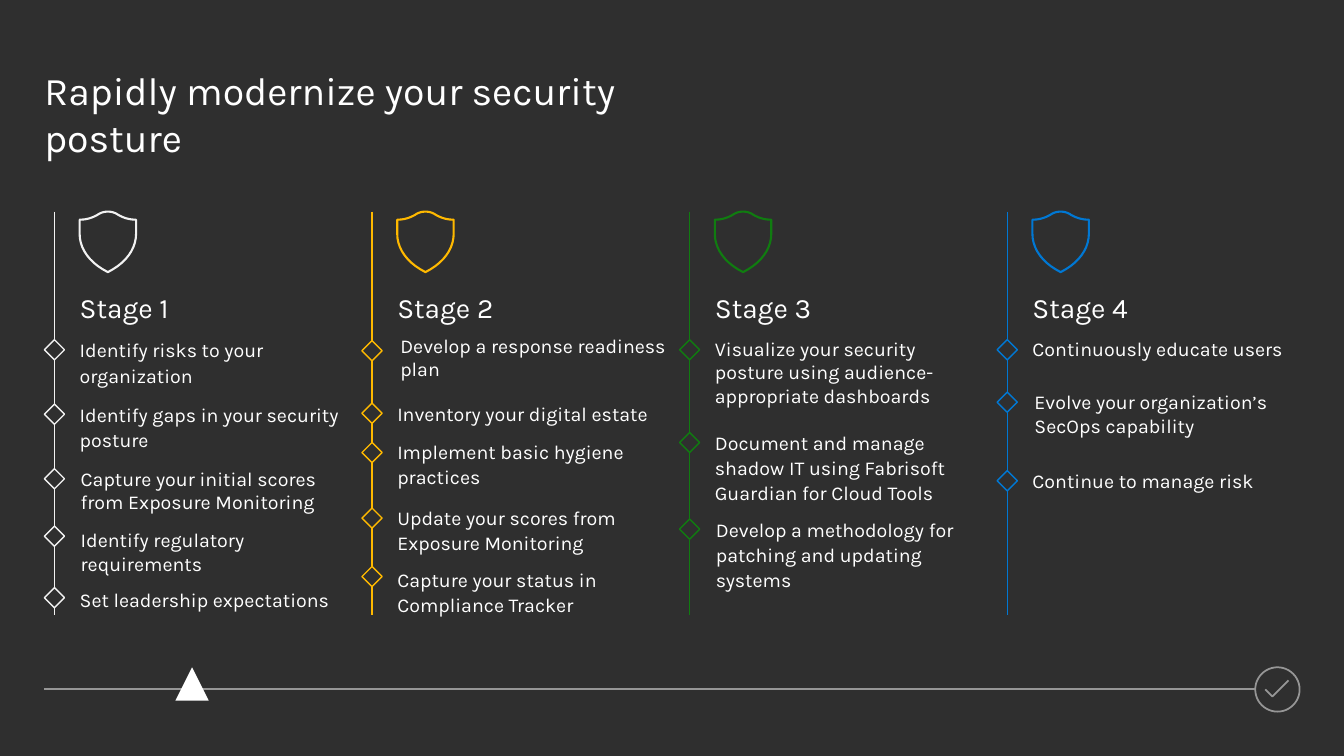
"""Builds a four-stage security roadmap slide with a progress line."""
from lxml.etree import SubElement
from pptx import Presentation
from pptx.dml.color import RGBColor
from pptx.enum.shapes import MSO_CONNECTOR, MSO_SHAPE
from pptx.oxml.ns import qn
from pptx.util import Inches, Pt

DARK = RGBColor(0x2F, 0x2F, 0x2F)
WHITE = RGBColor(0xFF, 0xFF, 0xFF)
PALE = RGBColor(0xF2, 0xF2, 0xF2)
GRAY = RGBColor(0x96, 0x96, 0x96)
AMBER = RGBColor(0xFF, 0xB9, 0x00)
GREEN = RGBColor(0x10, 0x7C, 0x10)
BLUE = RGBColor(0x00, 0x78, 0xD4)

FONT = "Karla"
TITLE = "Rapidly modernize your security posture"
LOOSE, TIGHT = 1.07, 1.0

# (text, indent, text top, lines, line spacing, diamond top)
STAGES = [
    ("Stage 1", PALE, [
        ("Identify risks to your organization", 0, 3.34, 2, LOOSE, 3.37),
        ("Identify gaps in your security posture", 0, 3.98, 2, LOOSE, 4.01),
        ("Capture your initial scores from Exposure Monitoring", 0.01, 4.63, 2, TIGHT, 4.65),
        ("Identify regulatory requirements", 0.01, 5.24, 2, TIGHT, 5.22),
        ("Set leadership expectations", 0, 5.83, 1, TIGHT, 5.83),
    ]),
    ("Stage 2", AMBER, [
        ("Develop a response readiness plan", 0.03, 3.31, 2, TIGHT, 3.38),
        ("Inventory your digital estate", 0, 3.97, 1, LOOSE, 4.0),
        ("Implement basic hygiene practices", 0, 4.35, 2, LOOSE, 4.39),
        ("Update your scores from Exposure Monitoring", 0, 5.0, 2, LOOSE, 5.04),
        ("Capture your status in Compliance Tracker", 0, 5.62, 2, LOOSE, 5.62),
    ]),
    ("Stage 3", GREEN, [
        ("Visualize your security posture using audience-appropriate dashboards",
         0, 3.34, 3, TIGHT, 3.37),
        ("Document and manage shadow IT using Fabrisoft Guardian for Cloud Tools",
         0, 4.26, 3, LOOSE, 4.29),
        ("Develop a methodology for patching and updating systems",
         0.01, 5.12, 3, LOOSE, 5.15),
    ]),
    ("Stage 4", BLUE, [
        ("Continuously educate users", 0, 3.34, 1, TIGHT, 3.37),
        ("Evolve your organization’s SecOps capability", 0.02, 3.87, 2, TIGHT, 3.89),
        ("Continue to manage risk", 0, 4.65, 1, TIGHT, 4.67),
    ]),
]

LEFT, STEP, TEXT_GAP, TEXT_W = 0.54, 3.15, 0.25, 2.65
LINE_TOP, LINE_BOTTOM, DIAMOND = 2.1, 6.1, 0.2
TRACK_Y, TRACK_LEFT, TRACK_RIGHT, BADGE = 6.84, 0.44, 12.45, 0.44

SHIELD_HALF = [
    ((0, 0), (0.04, 0), (0.07, 0.01), (0.1, 0.03)),
    ((0.1, 0.03), (0.15, 0.06), (0.21, 0.08), (0.28, 0.08)),
    ((0.28, 0.08), (0.28, 0.12), (0.28, 0.17), (0.28, 0.22)),
    ((0.28, 0.22), (0.28, 0.37), (0.18, 0.51), (0, 0.6)),
]
CHECK = [(0.1, 0.22), (0.17, 0.29), (0.33, 0.13)]


def bezier(curve, steps=10):
    points = []
    for i in range(steps + 1):
        t = i / steps
        weights = ((1 - t) ** 3, 3 * t * (1 - t) ** 2, 3 * t * t * (1 - t), t ** 3)
        points.append(tuple(sum(w * pt[k] for w, pt in zip(weights, curve)) for k in (0, 1)))
    return points


def style(s, fill=None, line=None, width=1):
    s.shadow.inherit = False
    if fill is None:
        s.fill.background()
    else:
        s.fill.solid()
        s.fill.fore_color.rgb = fill
    if line is None:
        s.line.fill.background()
    else:
        s.line.color.rgb = line
        s.line.width = Pt(width)


def add_text(slide, text, x, y, w, h, size=14, spacing=TIGHT):
    tf = slide.shapes.add_textbox(Inches(x), Inches(y), Inches(w), Inches(h)).text_frame
    tf.word_wrap = True
    tf.margin_left = tf.margin_top = tf.margin_right = tf.margin_bottom = 0
    p = tf.paragraphs[0]
    p.line_spacing = spacing
    r = p.add_run()
    r.text = text
    r.font.name = FONT
    r.font.size = Pt(size)
    r.font.color.rgb = WHITE


def add_shape(slide, kind, x, y, size, **look):
    s = slide.shapes.add_shape(kind, Inches(x), Inches(y), Inches(size), Inches(size))
    style(s, **look)


def add_line(slide, x1, y1, x2, y2, color, width):
    s = slide.shapes.add_connector(
        MSO_CONNECTOR.STRAIGHT, Inches(x1), Inches(y1), Inches(x2), Inches(y2))
    s.line.color.rgb = color
    s.line.width = Pt(width)
    SubElement(s._element.spPr, qn("a:effectLst"))


def add_outline(slide, points, x, y, close, **look):
    pts = [(Inches(x + px), Inches(y + py)) for px, py in points]
    builder = slide.shapes.build_freeform(*pts[0])
    builder.add_line_segments(pts[1:], close=close)
    style(builder.convert_to_shape(), **look)


def add_stage(slide, x, name, color, items):
    right = [pt for curve in SHIELD_HALF for pt in bezier(curve)]
    left = [(-px, py) for px, py in reversed(right)]
    text_x = x + TEXT_GAP
    add_line(slide, x, LINE_TOP, x, LINE_BOTTOM, color, 1)
    add_outline(slide, right + left, text_x + 0.28, LINE_TOP, True,
                fill=DARK, line=color, width=1.5)
    add_text(slide, name, text_x, 2.86, TEXT_W, 0.33, size=20, spacing=LOOSE)
    for text, indent, top, lines, spacing, mark in items:
        add_shape(slide, MSO_SHAPE.DIAMOND, x - DIAMOND / 2, mark, DIAMOND,
                  fill=DARK, line=color)
        add_text(slide, text, text_x + indent, top, TEXT_W, lines * 0.23 * spacing,
                 spacing=spacing)


def add_track(slide):
    add_line(slide, TRACK_LEFT, TRACK_Y, TRACK_RIGHT, TRACK_Y, GRAY, 1.5)
    add_shape(slide, MSO_SHAPE.ISOSCELES_TRIANGLE, 1.74, 6.62, 0.33, fill=WHITE)
    badge_y = TRACK_Y - BADGE / 2
    add_shape(slide, MSO_SHAPE.OVAL, TRACK_RIGHT, badge_y, BADGE,
              fill=DARK, line=GRAY, width=1.25)
    add_outline(slide, CHECK, TRACK_RIGHT, badge_y, False, line=GRAY, width=1.25)


def main():
    prs = Presentation()
    prs.slide_width, prs.slide_height = Inches(13.33), Inches(7.5)
    slide = prs.slides.add_slide(prs.slide_layouts[6])
    slide.background.fill.solid()
    slide.background.fill.fore_color.rgb = DARK
    add_text(slide, TITLE, 0.44, 0.66, 6.42, 0.94, size=28)
    for i, stage in enumerate(STAGES):
        add_stage(slide, LEFT + i * STEP, *stage)
    add_track(slide)
    prs.save("out.pptx")


if __name__ == "__main__":
    main()
